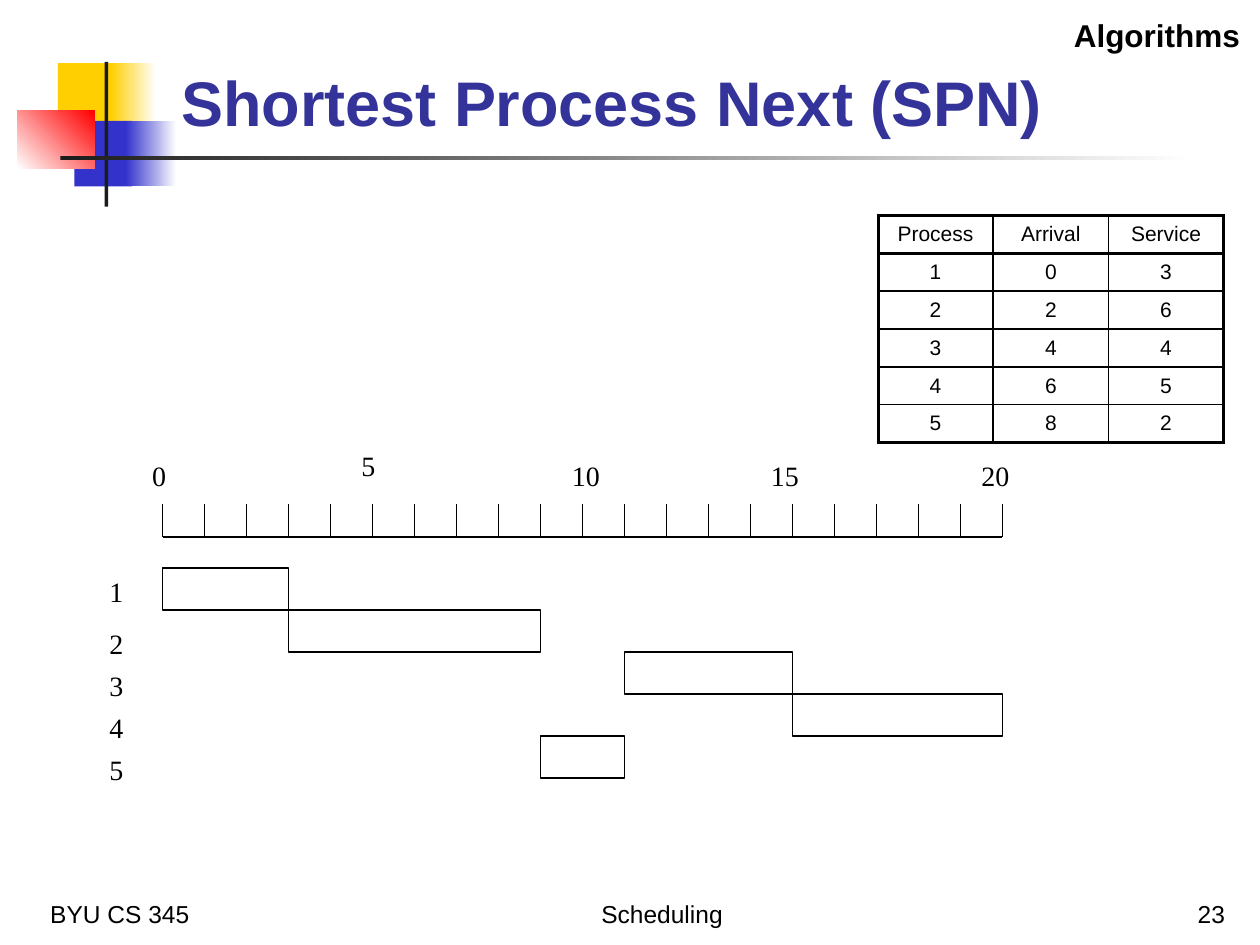
from dataclasses import dataclass

from lxml.etree import SubElement
from pptx import Presentation
from pptx.dml.color import RGBColor
from pptx.enum.shapes import MSO_CONNECTOR as CONNECTOR, MSO_SHAPE as SHAPE
from pptx.enum.text import MSO_ANCHOR as ANCHOR, PP_ALIGN as ALIGN
from pptx.oxml.ns import qn
from pptx.util import Inches, Pt


@dataclass(frozen=True)
class Theme:
    black: str = "000000"
    white: str = "FFFFFF"
    dark: str = "1C1C1C"
    yellow: str = "FFCF01"
    blue: str = "3333CC"
    red: str = "FF0000"
    title: str = "333399"
    sans: str = "Arial"
    serif: str = "Times New Roman"
    title_size: int = 36
    topic_size: int = 18
    label_size: int = 16
    footer_size: int = 14
    table_size: int = 12
    thin: float = 1
    thick: float = 2.25


@dataclass(frozen=True)
class Block:
    """Master decoration; fades from start to end colour when end is given."""
    left: float
    top: float
    width: float
    height: float
    start: str
    end: str = ""
    angle: int = 0


@dataclass(frozen=True)
class Label:
    text: str
    left: float
    top: float
    width: float
    height: float
    size: int
    font: str
    color: str = "000000"
    bold: bool = False
    align: ALIGN = ALIGN.LEFT
    anchor: ANCHOR = ANCHOR.TOP
    wrap: bool = True


@dataclass(frozen=True)
class Process:
    name: str
    arrival: int
    service: int
    start: int
    label_top: float


T = Theme()

BLOCKS = [
    Block(0.46, 0.5, 0.48, 0.52, T.yellow),
    Block(0.88, 0.5, 0.36, 0.52, T.yellow, T.white),
    Block(0.59, 0.96, 0.46, 0.52, T.blue),
    Block(1, 0.96, 0.4, 0.52, T.blue, T.white),
    Block(0.14, 0.88, 0.61, 0.46, T.white, T.red, 45),
    Block(0.83, 0.49, 0.03, 1.15, T.dark),
    Block(0.48, 1.24, 9, 0.03, T.dark, T.white),
]

LABELS = [
    Label("BYU CS 345", 0.3, 6.92, 2.08, 0.5, T.footer_size, T.sans, anchor=ANCHOR.BOTTOM),
    Label("Scheduling", 3.67, 6.92, 3.17, 0.5, T.footer_size, T.sans,
          align=ALIGN.CENTER, anchor=ANCHOR.BOTTOM),
    Label("23", 7.74, 6.92, 2.08, 0.5, T.footer_size, T.sans,
          align=ALIGN.RIGHT, anchor=ANCHOR.BOTTOM),
    Label("Shortest Process Next (SPN)", 1.34, 0.45, 8.37, 0.71, T.title_size, T.sans,
          T.title, True, anchor=ANCHOR.MIDDLE),
    Label("Algorithms", 7.07, 0.08, 2.87, 0.4, T.topic_size, T.sans,
          bold=True, align=ALIGN.RIGHT),
]

PROCESSES = [
    Process("1", 0, 3, 0, 4.51),
    Process("2", 2, 6, 3, 4.92),
    Process("3", 4, 4, 11, 5.26),
    Process("4", 6, 5, 15, 5.59),
    Process("5", 8, 2, 9, 5.92),
]

# Time label: left, top
TIMES = {"0": (1.11, 3.59), "5": (2.77, 3.51), "10": (4.44, 3.59),
         "15": (6.02, 3.59), "20": (7.69, 3.59)}

UNIT = 1 / 3
TOTAL_TIME = 20
AXIS_LEFT, AXIS_TOP, AXIS_BOTTOM = 1.29, 4, 4.26
LANES_TOP = 4.51
PROCESS_LEFT = 0.77


def rgb(color: str) -> RGBColor:
    return RGBColor.from_string(color)


def time_x(time: int) -> float:
    return AXIS_LEFT + time * UNIT


def add_rect(s, left: float, top: float, width: float, height: float):
    sp = s.shapes.add_shape(SHAPE.RECTANGLE, Inches(left), Inches(top),
                            Inches(width), Inches(height))
    sp.shadow.inherit = False
    return sp


def add_block(s, block: Block) -> None:
    sp = add_rect(s, block.left, block.top, block.width, block.height)
    sp.line.fill.background()
    if not block.end:
        sp.fill.solid()
        sp.fill.fore_color.rgb = rgb(block.start)
        return
    sp.fill.gradient()
    sp.fill.gradient_angle = block.angle
    for stop, color, position in zip(sp.fill.gradient_stops, (block.start, block.end), (0, 1)):
        stop.color.rgb = rgb(color)
        stop.position = position


def style_paragraph(p, size: int, font: str, color: str, align: ALIGN, bold: bool = False) -> None:
    p.alignment = align
    p.font.size, p.font.name, p.font.bold = Pt(size), font, bold
    p.font.color.rgb = rgb(color)


def add_label(s, label: Label) -> None:
    sp = s.shapes.add_textbox(Inches(label.left), Inches(label.top),
                              Inches(label.width), Inches(label.height))
    tf = sp.text_frame
    tf.word_wrap, tf.vertical_anchor = label.wrap, label.anchor
    tf.text = label.text
    style_paragraph(tf.paragraphs[0], label.size, label.font, label.color,
                    label.align, label.bold)


def add_chart_label(s, text: str, left: float, top: float) -> None:
    width = 0.2 + 0.11 * len(text)
    add_label(s, Label(text, left, top, width, 0.36, T.label_size, T.serif, wrap=False))


def add_line(s, x1: float, y1: float, x2: float, y2: float) -> None:
    line = s.shapes.add_connector(CONNECTOR.STRAIGHT, Inches(x1), Inches(y1),
                                  Inches(x2), Inches(y2))
    line.line.color.rgb, line.line.width = rgb(T.black), Pt(T.thin)
    SubElement(line._element.spPr, qn("a:effectLst"))


def add_time_axis(s) -> None:
    add_line(s, time_x(0), AXIS_BOTTOM, time_x(TOTAL_TIME), AXIS_BOTTOM)
    for time in range(TOTAL_TIME + 1):
        add_line(s, time_x(time), AXIS_BOTTOM, time_x(time), AXIS_TOP)
    for text, (left, top) in TIMES.items():
        add_chart_label(s, text, left, top)


def add_schedule(s) -> None:
    for lane, process in enumerate(PROCESSES):
        bar = add_rect(s, time_x(process.start), LANES_TOP + lane * UNIT,
                       process.service * UNIT, UNIT)
        bar.fill.background()
        bar.line.color.rgb, bar.line.width = rgb(T.black), Pt(T.thin)
        add_chart_label(s, process.name, PROCESS_LEFT, process.label_top)


def set_borders(cell, widths: dict[str, float]) -> None:
    tc_pr = cell._tc.get_or_add_tcPr()
    for side, width in widths.items():
        ln = SubElement(tc_pr, qn(f"a:ln{side}"), w=str(Pt(width)))
        SubElement(SubElement(ln, qn("a:solidFill")), qn("a:srgbClr"), val=T.black)


def add_process_table(s) -> None:
    rows = [("Process", "Arrival", "Service"),
            *((p.name, str(p.arrival), str(p.service)) for p in PROCESSES)]
    last_row, last_col = len(rows) - 1, len(rows[0]) - 1
    table = s.shapes.add_table(len(rows), len(rows[0]), Inches(6.97), Inches(1.71),
                               Inches(2.74), Inches(1.8)).table
    for row in table.rows:
        row.height = Inches(0.3)
    for column, width in zip(table.columns, (0.91, 0.92, 0.91)):
        column.width = Inches(width)
    for r, values in enumerate(rows):
        for c, value in enumerate(values):
            cell = table.cell(r, c)
            heavy = {"L": c == 0, "R": c == last_col, "T": r <= 1, "B": r in (0, last_row)}
            set_borders(cell, {side: T.thick if on else T.thin for side, on in heavy.items()})
            cell.fill.solid()
            cell.fill.fore_color.rgb = rgb(T.white)
            cell.vertical_anchor = ANCHOR.MIDDLE
            cell.text = value
            style_paragraph(cell.text_frame.paragraphs[0], T.table_size, T.sans,
                            T.black, ALIGN.CENTER)


def main() -> None:
    prs = Presentation()
    prs.slide_width, prs.slide_height = Inches(10), Inches(7.5)
    s = prs.slides.add_slide(prs.slide_layouts[6])
    for block in BLOCKS:
        add_block(s, block)
    for label in LABELS:
        add_label(s, label)
    add_time_axis(s)
    add_schedule(s)
    add_process_table(s)
    prs.save("out.pptx")


if __name__ == "__main__":
    main()
